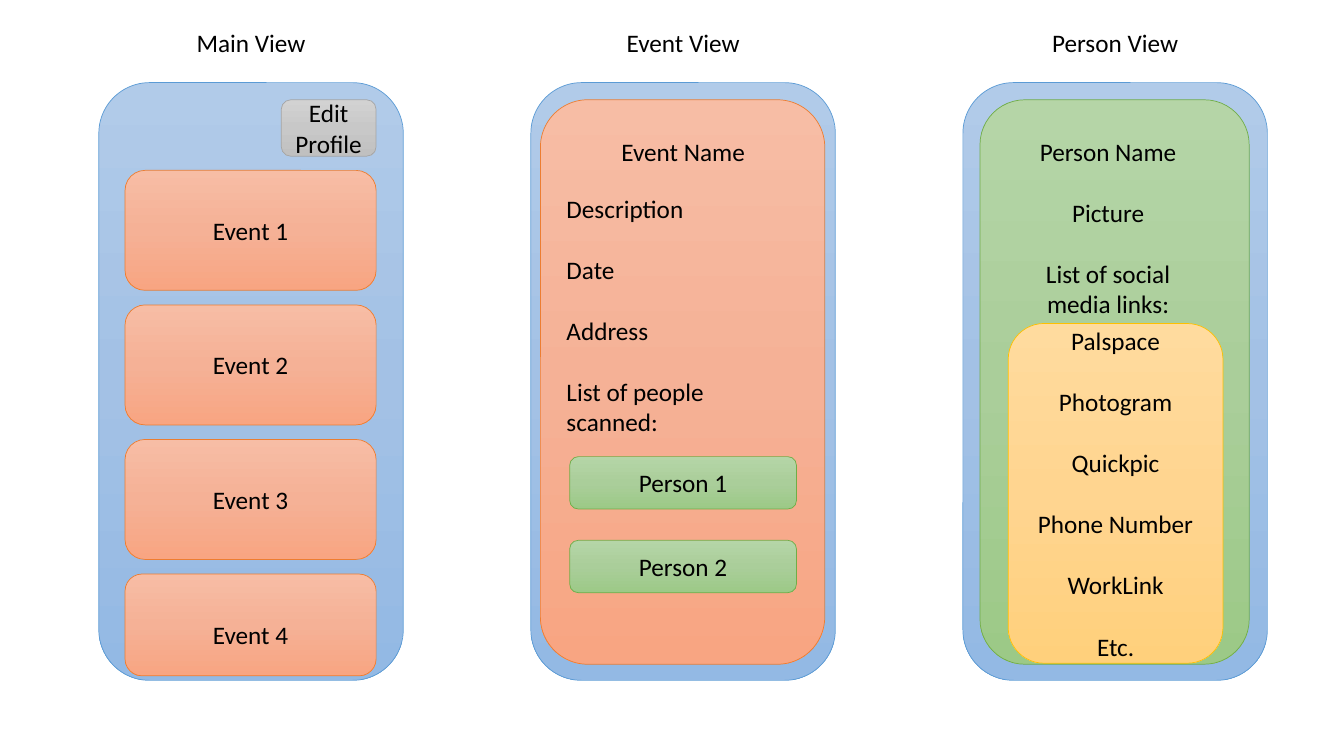
"""Build a slide of three app screen mock-ups: main, event and person views."""
from copy import deepcopy

from pptx import Presentation
from pptx.dml.color import RGBColor
from pptx.enum.shapes import MSO_SHAPE
from pptx.enum.text import MSO_ANCHOR, PP_ALIGN
from pptx.oxml.ns import qn
from pptx.util import Inches, Pt

TEXT_COLOR = "000000"
COLORS = {
    "blue": {"stops": ("B1CBE9", "A3C1E5", "93B9E4"), "line": "5B9BD5"},
    "orange": {"stops": ("F7BDA5", "F5B196", "F8A582"), "line": "ED7D31"},
    "green": {"stops": ("B5D5A7", "AACE9A", "9CC987"), "line": "70AD47"},
    "gold": {"stops": ("FFDB9E", "FFD590", "FFD07C"), "line": "FFC000"},
    "gray": {"stops": ("D2D2D2", "C8C8C8", "C0C0C0"), "line": "A5A5A5"},
}
VIEWS = ["Main View", "Event View", "Person View"]
EVENTS = ["Event 1", "Event 2", "Event 3"]
EVENT_FIELDS = ["Description", "Date", "Address", "List of people scanned:"]
PEOPLE = ["Person 1", "Person 2"]
PERSON_FIELDS = ["Person Name", "Picture", "List of social media links:"]
LINKS = ["Palspace", "Photogram", "Quickpic", "Phone Number", "WorkLink", "Etc."]

SCREEN_LEFT, SCREEN_TOP, SCREEN_PITCH = 0.98, 0.82, 4.285
SCREEN_WIDTH, SCREEN_HEIGHT = 3.02, 5.93
HEADING_WIDTH = 1.68
CARD_LEFT, CARD_TOP, CARD_WIDTH, CARD_HEIGHT, CARD_PITCH = 1.24, 1.69, 2.49, 1.19, 1.335
PERSON_TOP, PERSON_PITCH = 4.53, 0.83
ENTRY_GAP = Pt(22)

prs = Presentation()
prs.slide_width, prs.slide_height = Inches(13.33), Inches(7.5)
slide = prs.slides.add_slide(prs.slide_layouts[6])


def write(shape, entries, align=PP_ALIGN.CENTER):
    frame = shape.text_frame
    frame.word_wrap = True
    for i, entry in enumerate(entries):
        paragraph = frame.add_paragraph() if i else frame.paragraphs[0]
        paragraph.alignment = align
        paragraph.space_before = ENTRY_GAP if i else Pt(0)
        run = paragraph.add_run()
        run.text = entry
        run.font.name, run.font.size = "Calibri", Pt(18)
        run.font.color.rgb = RGBColor.from_string(TEXT_COLOR)


def add_label(box, *entries, align=PP_ALIGN.CENTER):
    write(slide.shapes.add_textbox(*map(Inches, box)), entries, align)


def add_panel(box, color, *entries):
    panel = slide.shapes.add_shape(MSO_SHAPE.ROUNDED_RECTANGLE, *map(Inches, box))
    panel.shadow.inherit = False
    panel.fill.gradient()
    panel.fill.gradient_angle = 270
    first_stop = next(panel._element.spPr.iter(qn("a:gs")))
    first_stop.addnext(deepcopy(first_stop))
    stops = panel.fill.gradient_stops
    for stop, position, hex_color in zip(stops, (0, 0.5, 1), COLORS[color]["stops"]):
        stop.position = position
        stop.color.rgb = RGBColor.from_string(hex_color)
    panel.line.color.rgb = RGBColor.from_string(COLORS[color]["line"])
    panel.line.width = Pt(0.5)
    panel.text_frame.vertical_anchor = MSO_ANCHOR.MIDDLE
    write(panel, entries)


for i, view in enumerate(VIEWS):
    left = SCREEN_LEFT + i * SCREEN_PITCH
    add_panel((left, SCREEN_TOP, SCREEN_WIDTH, SCREEN_HEIGHT), "blue")
    heading_left = left + (SCREEN_WIDTH - HEADING_WIDTH) / 2
    add_label((heading_left, 0.22, HEADING_WIDTH, 0.4), view)

for i, event in enumerate(EVENTS):
    top = CARD_TOP + i * CARD_PITCH
    add_panel((CARD_LEFT, top, CARD_WIDTH, CARD_HEIGHT), "orange", event)
last_top = CARD_TOP + len(EVENTS) * CARD_PITCH
add_panel((CARD_LEFT, last_top, CARD_WIDTH, 1.01), "orange")
add_label((1.85, 6.09, 1.27, 0.4), "Event 4")
add_panel((2.79, 0.99, 0.94, 0.56), "gray", "Edit Profile")

add_panel((5.36, 0.99, 2.82, 5.6), "orange")
add_label((6.05, 1.3, 1.45, 0.4), "Event Name")
add_label((5.52, 1.87, 2.51, 3.13), *EVENT_FIELDS, align=PP_ALIGN.LEFT)
for i, person in enumerate(PEOPLE):
    add_panel((5.65, PERSON_TOP + i * PERSON_PITCH, 2.25, 0.52), "green", person)

add_panel((9.72, 0.99, 2.67, 5.6), "green")
add_label((10.08, 1.3, 1.82, 1.92), *PERSON_FIELDS)
add_panel((10, 3.21, 2.13, 3.37), "gold", *LINKS)

prs.save("out.pptx")
